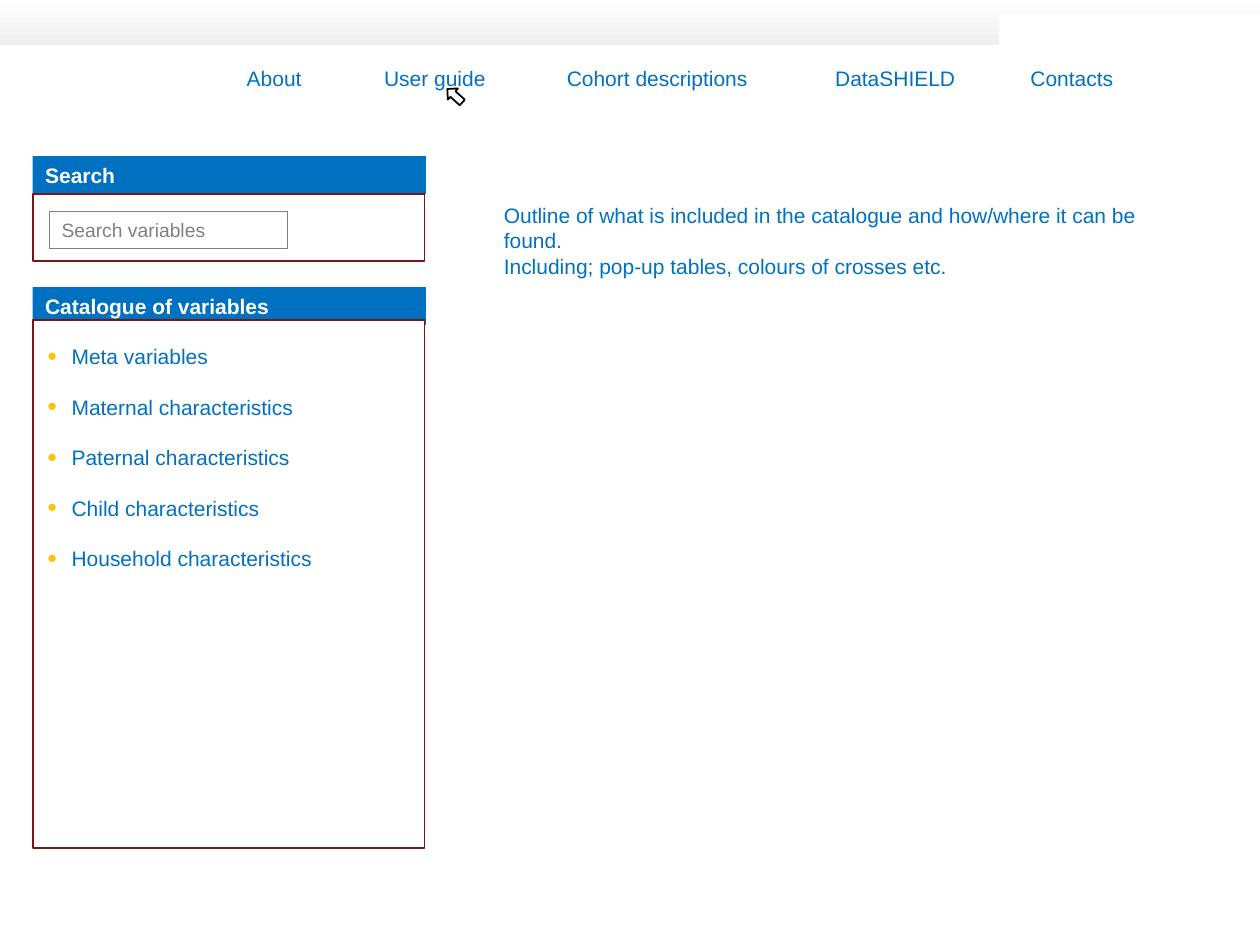
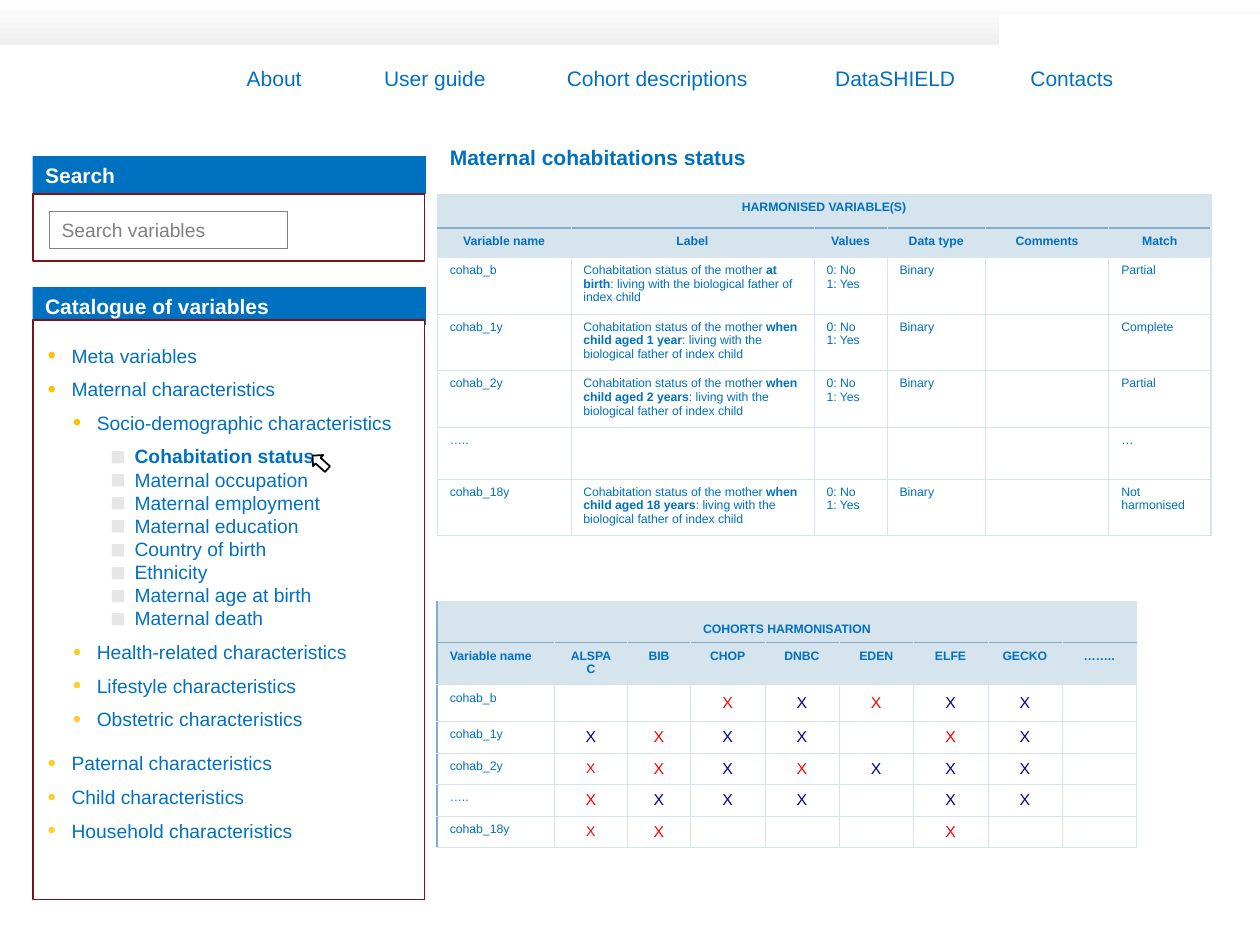
import pptx
import pptx.util
import pptx.dml.color
import pptx.enum.shapes
import pptx.enum.text
import pptx.oxml.ns
import lxml.etree

Inches, Pt = pptx.util.Inches, pptx.util.Pt
SHAPE = pptx.enum.shapes.MSO_SHAPE
ALIGN = pptx.enum.text.PP_ALIGN
ANCHOR = pptx.enum.text.MSO_ANCHOR
qn = pptx.oxml.ns.qn

# ---- Content ----
SLIDE_W, SLIDE_H = 10, 7.5
FONT = "Arial"
COLORS = {
    "blue": "0070C0", "white": "FFFFFF", "band": "EEEFEE", "frame": "791518",
    "gray": "808080", "black": "000000", "gold": "FFC000", "amber": "FFCD2F",
    "square": "E7E6E6", "pale": "D6E4EE", "steel": "85ADCB",
    "red": "FF0000", "navy": "000090",
}

# Menu entries with their tab positions
MENU = [("About", 0), ("User guide", 1.09), ("Cohort descriptions", 2.54),
        ("DataSHIELD", 4.67), ("Contacts", 6.22)]

TOPICS = ["Meta variables", "Maternal characteristics", "Paternal characteristics",
          "Child characteristics", "Household characteristics"]
GUIDE = ["Outline of what is included in the catalogue and how/where it can be found.",
         "Including; pop-up tables, colours of crosses etc."]

# Bullet kinds: indent, character, colour
BULLETS = {
    "topic": (0.19, "•", "gold"), "topic2": (0.19, "•", "amber"),
    "group": (0.39, "•", "gold"), "group2": (0.39, "•", "amber"),
    "item": (0.69, "◼", "square"),
}
# Entries: bullet kind, space before, space after, texts (** marks bold)
TREE = [
    ("topic", 0, 6, TOPICS[:2]),
    ("group", 0, 6, ["Socio-demographic characteristics"]),
    ("item", 0, 0, ["**Cohabitation status**", "Maternal occupation", "Maternal employment",
                    "Maternal education", "Country of birth", "Ethnicity",
                    "Maternal age at birth", "Maternal death"]),
    ("group2", 6, 6, ["Health-related characteristics"]),
    ("group2", 0, 6, ["Lifestyle characteristics", "Obstetric characteristics"]),
    ("topic2", 6, 6, TOPICS[2:3]),
    ("topic2", 0, 6, TOPICS[3:]),
]

PAGE_TITLE = "Maternal cohabitations status"
VARIABLES_TITLE = "HARMONISED VARIABLE(S)"
VARIABLES_HEAD = ["Variable name", "Label", "Values", "Data type", "Comments", "Match"]
# Variable, time of measurement, match
VARIABLES = [("cohab_b", "at birth", "Partial"),
             ("cohab_1y", "when child aged 1 year", "Complete"),
             ("cohab_2y", "when child aged 2 years", "Partial"),
             ("…..", None, "…"),
             ("cohab_18y", "when child aged 18 years", "Not harmonised")]
LABEL = "Cohabitation status of the mother **{}**: living with the biological father of index child"

COHORTS_TITLE = "COHORTS HARMONISATION"
COHORTS_HEAD = ["Variable name", "ALSPAC", "BIB", "CHOP", "DNBC", "EDEN", "ELFE", "GECKO", "…….."]
# One letter per cohort: key of CROSSES, or a dot for none
COHORTS = [("cohab_b", "..RBRBB."), ("cohab_1y", "BRBB.RB."), ("cohab_2y", "rRBRBBB."),
           ("…..", "RBBB.BB."), ("cohab_18y", "rR...R..")]
CROSSES = {"R": ("red", 9), "r": ("red", 8), "B": ("navy", 9)}

# ---- Layout ----
LEFT, PANEL_W, BAR_H = 0.26, 3.11, 0.3
SEARCH_TOP, CATALOGUE_TOP = 1.24, 2.28
TABLE_LEFT = 3.47
VARIABLES_COLS = [1.06, 1.93, 0.58, 0.78, 0.98, 0.81]
VARIABLES_ROWS = [0.27, 0.23] + [0.41] * 5
COHORTS_COLS = [0.93, 0.58, 0.5] + [0.59] * 6
COHORTS_ROWS = [0.33, 0.33, 0.29] + [0.25] * 4


def rgb(name):
    return pptx.dml.color.RGBColor.from_string(COLORS[name])


def box(*lengths):
    return [Inches(v) for v in lengths]


def write(p, text, size, color="blue", bold=False):
    """Add text to a paragraph; parts between ** are bold."""
    for i, part in enumerate(text.split("**")):
        if part:
            r = p.add_run()
            r.text = part
            style = {"name": FONT, "size": Pt(size), "bold": bold or i % 2 == 1}
            for key, value in style.items():
                setattr(r.font, key, value)
            r.font.color.rgb = rgb(color)


def next_paragraph(tf, first):
    return tf.paragraphs[0] if first else tf.add_paragraph()


def add_shape(shapes, kind, at, fill=None, line=None, width=1.0):
    sp = shapes.add_shape(kind, *box(*at))
    sp.shadow.inherit = False
    if fill:
        sp.fill.solid()
        sp.fill.fore_color.rgb = rgb(fill)
    else:
        sp.fill.background()
    if line:
        sp.line.color.rgb = rgb(line)
        sp.line.width = Pt(width)
    else:
        sp.line.fill.background()
    return sp


def label(sp, text, size, color, bold=False):
    p = sp.text_frame.paragraphs[0]
    p.alignment = ALIGN.LEFT
    write(p, text, size, color, bold)


def add_text(shapes, at):
    tf = shapes.add_textbox(*box(*at)).text_frame
    tf.word_wrap = True
    return tf


def add_bullet(p, kind):
    indent, char, color = BULLETS[kind]
    pPr = p._p.get_or_add_pPr()
    pPr.set("marL", str(Inches(indent)))
    pPr.set("indent", str(-Inches(0.19)))
    clr = lxml.etree.SubElement(pPr, qn("a:buClr"))
    lxml.etree.SubElement(clr, qn("a:srgbClr"), val=COLORS[color])
    lxml.etree.SubElement(pPr, qn("a:buSzPct"), val="125000")
    lxml.etree.SubElement(pPr, qn("a:buFont"), typeface=FONT)
    lxml.etree.SubElement(pPr, qn("a:buChar"), char=char)


def add_bullets(shapes, at, groups, size):
    tf = add_text(shapes, at)
    first = True
    for kind, before, after, texts in groups:
        for text in texts:
            p = next_paragraph(tf, first)
            add_bullet(p, kind)
            p.space_before = Pt(0 if first else before)
            p.space_after = Pt(after)
            write(p, text, size)
            first = False


def add_panel(s, title, top, body_top, body_h):
    """Blue title bar over a framed body, as one group."""
    shapes = s.shapes.add_group_shape().shapes
    bar = add_shape(shapes, SHAPE.RECTANGLE, (LEFT, top, PANEL_W + 0.01, BAR_H), "blue")
    label(bar, title, 12, "white", True)
    add_shape(shapes, SHAPE.RECTANGLE, (LEFT, body_top, PANEL_W, body_h), "white", "frame")
    return shapes


def add_page(prs, layout, catalogue_h):
    """Slide with top band, menu, search panel and catalogue panel."""
    s = prs.slides.add_slide(prs.slide_layouts[layout])
    # Top band
    band = add_shape(s.shapes, SHAPE.RECTANGLE, (0, 0, SLIDE_W, 0.36))
    band.fill.gradient()
    band.fill.gradient_angle = 270
    for stop, color in zip(band.fill.gradient_stops, ("white", "band")):
        stop.color.rgb = rgb(color)
    add_shape(s.shapes, SHAPE.RECTANGLE, (7.93, 0.11, 2.07, 0.64), "white")
    # Menu
    p = add_text(s.shapes, (1.86, 0.47, 7.59, BAR_H)).paragraphs[0]
    tabs = lxml.etree.SubElement(p._p.get_or_add_pPr(), qn("a:tabLst"))
    for _, pos in MENU[1:]:
        lxml.etree.SubElement(tabs, qn("a:tab"), pos=str(Inches(pos)), algn="l")
    write(p, "\t".join(name for name, _ in MENU), 12)
    # Side panels
    search = add_panel(s, "Search", SEARCH_TOP, SEARCH_TOP + BAR_H, 0.53)
    field = add_shape(search, SHAPE.RECTANGLE, (0.39, 1.68, 1.89, 0.29), None, "gray", 0.75)
    label(field, "Search variables", 11, "gray")
    catalogue = add_panel(s, "Catalogue of variables", CATALOGUE_TOP, 2.54, catalogue_h)
    return s, catalogue


def add_cursor(s, left, top):
    sp = add_shape(s.shapes, SHAPE.UP_ARROW, (left, top, 0.12, 0.16), "white", "black")
    sp.rotation = 312


def set_borders(cell, strong):
    """Thin pale borders; strong maps a side to its 1 pt colour."""
    tcPr = cell._tc.get_or_add_tcPr()
    for i, side in enumerate("LRTB"):
        width = 1 if side in strong else 0.25
        ln = lxml.etree.Element(qn("a:ln" + side), w=str(Pt(width)))
        fill = lxml.etree.SubElement(ln, qn("a:solidFill"))
        lxml.etree.SubElement(fill, qn("a:srgbClr"), val=COLORS[strong.get(side, "pale")])
        tcPr.insert(i, ln)


def add_table(s, top, cols, rows, title, head, body, strong_at):
    """Table with merged title row, head row and body of (text, color, size, centred)."""
    frame = s.shapes.add_table(len(rows), len(cols),
                               *box(TABLE_LEFT, top, sum(cols), sum(rows)))
    t = frame.table
    t.first_row = t.horz_banding = False
    for items, sizes, key in ((t.columns, cols, "width"), (t.rows, rows, "height")):
        for item, size in zip(items, sizes):
            setattr(item, key, Inches(size))
    t.cell(0, 0).merge(t.cell(0, len(cols) - 1))
    heads = [[title] + [""] * (len(cols) - 1), head]
    grid = [[(text, "blue", 7, True) for text in row] for row in heads] + body
    for i, row in enumerate(grid):
        for j, (text, color, size, centred) in enumerate(row):
            cell = t.cell(i, j)
            for k, line in enumerate(text.split("\n")):
                p = next_paragraph(cell.text_frame, k == 0)
                p.alignment = ALIGN.CENTER if centred else ALIGN.LEFT
                write(p, line, size, color, i < 2)
                if not line:
                    lxml.etree.SubElement(p._p, qn("a:endParaRPr"), sz=str(size * 100))
            if i < 2:
                cell.fill.solid()
                cell.fill.fore_color.rgb = rgb("pale")
            else:
                cell.fill.background()
                if centred:
                    cell.vertical_anchor = ANCHOR.MIDDLE
            strong = strong_at(i, j)
            if i < 2:
                strong["B" if i == 0 else "T"] = "steel"
            set_borders(cell, strong)
    return t


def variables_border(i, j):
    if j == 5:
        return {"L": "pale", "R": "pale"}
    return {"R": "pale"} if j == 4 else {}


def cohorts_border(i, j):
    return {"L": "steel"} if j == 0 else {}


def build_guide(prs):
    s, _ = add_page(prs, 6, 4.19)
    add_cursor(s, 3.55, 0.68)
    groups = [("topic", 14.4, 0, TOPICS)]
    add_bullets(s.shapes, (0.28, 2.68, 3, 1.92), groups, 12)
    tf = add_text(s.shapes, (3.9, 1.56, 5.55, 0.8))
    for i, text in enumerate(GUIDE):
        write(next_paragraph(tf, i == 0), text, 12)


def build_variable(prs):
    s, catalogue = add_page(prs, 5, 4.6)
    add_bullets(catalogue, (0.28, 2.68, 3, 4.4), TREE, 11)
    add_cursor(s, 2.48, 3.59)
    # Title
    title = s.shapes.title
    title.left, title.top, title.width, title.height = box(TABLE_LEFT, 1.1, 3.23, BAR_H)
    tf = title.text_frame
    tf.auto_size = pptx.enum.text.MSO_AUTO_SIZE.NONE
    tf.vertical_anchor = ANCHOR.TOP
    label(title, PAGE_TITLE, 12, "blue", True)
    # Harmonised variables
    body = []
    for name, when, match in VARIABLES:
        facts = [LABEL.format(when), "0: No\n1: Yes", "Binary"] if when else [""] * 3
        body.append([(text, "blue", 7, False) for text in [name, *facts, "", match]])
    add_table(s, 1.54, VARIABLES_COLS, VARIABLES_ROWS, VARIABLES_TITLE,
              VARIABLES_HEAD, body, variables_border)
    # Cohorts
    body = []
    for name, marks in COHORTS:
        crosses = [("X", *CROSSES[m], True) if m in CROSSES else ("", "blue", 7, True)
                   for m in marks]
        body.append([(name, "blue", 7, False)] + crosses)
    t = add_table(s, 4.77, COHORTS_COLS, COHORTS_ROWS, COHORTS_TITLE,
                  COHORTS_HEAD, body, cohorts_border)
    t.cell(0, 0).vertical_anchor = ANCHOR.BOTTOM
    t.cell(1, 0).text_frame.paragraphs[0].alignment = ALIGN.LEFT


def main():
    prs = pptx.Presentation()
    prs.slide_width, prs.slide_height = box(SLIDE_W, SLIDE_H)
    build_guide(prs)
    build_variable(prs)
    prs.save("out.pptx")


if __name__ == "__main__":
    main()
